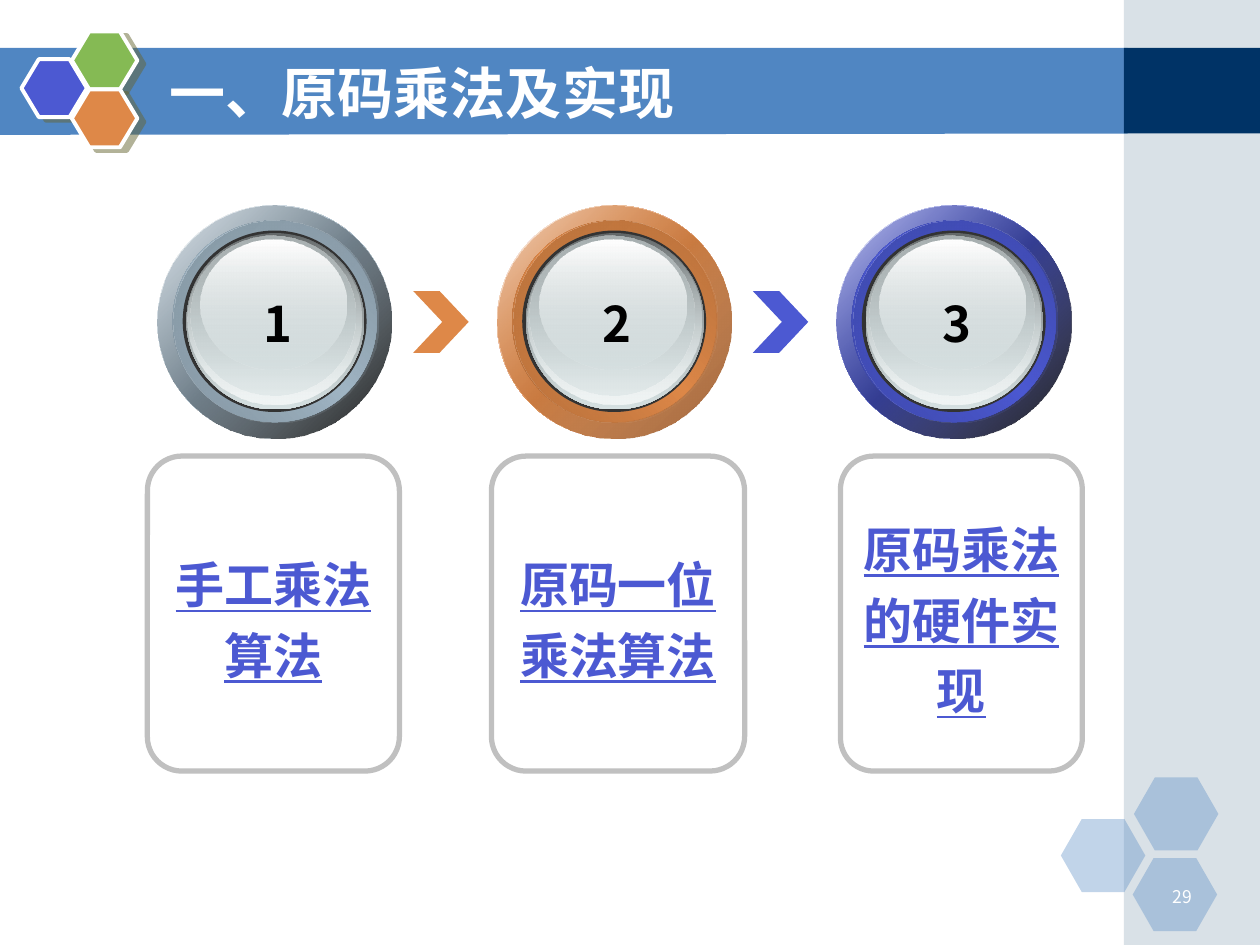
from lxml.etree import SubElement
from pptx import Presentation
from pptx.dml.color import RGBColor
from pptx.enum.shapes import MSO_SHAPE
from pptx.enum.text import MSO_ANCHOR, PP_ALIGN
from pptx.oxml.ns import qn
from pptx.util import Inches, Pt

FONT = "Noto Sans CJK SC"
BLUE, INDIGO, ORANGE, GREEN, STEEL = "5086C2", "4C59D2", "DE8848", "85BA54", "A0B5C4"
COLUMN_LEFT, COLUMN_PITCH = 1.25, 2.695
BUTTON_TOP = 1.63

BUTTONS = [
    (STEEL, ("000000", 90), "7B8B96", "8395A1"),
    (ORANGE, ("9F6134", 100), "AA6837", "B6703B"),
    (INDIGO, ("000000", 90), "3A44A1", "3E49AC"),
]
GLASS = [
    (0.23, 0.22, 1.41, 1.4, ("636869", 100), ("D6E1E2", 100)),
    (0.24, 0.22, 1.38, 1.36, ("D6E1E2", 0), ("F1F5F5", 100)),
    (0.26, 0.24, 1.31, 1.27, ("AAB2B3", 100), ("D6E1E2", 48)),
    (0.34, 0.27, 1.16, 1.03, ("FFFFFF", 100), ("D6E1E2", 38)),
]
CARDS = [(1.17, 2, "手工乘法算法"), (3.9, 2.01, "原码一位乘法算法"), (6.67, 1.92, "原码乘法的硬件实现")]


def rgb(value):
    """Turn a hex string into a colour."""
    return RGBColor.from_string(value)


def add_color(parent, value, alpha):
    """Append a colour with an opacity in percent to an XML element."""
    color = SubElement(parent, qn("a:srgbClr"), val=value)
    SubElement(color, qn("a:alpha"), val=str(alpha * 1000))


def column(i):
    """Return the left edge of a button column."""
    return COLUMN_LEFT + COLUMN_PITCH * i


def add_shape(slide, kind, x, y, w, h, fill=None, alpha=100, line=None, adj=None):
    """Add a preset shape with a plain fill and an optional (colour, width) line."""
    s = slide.shapes.add_shape(kind, Inches(x), Inches(y), Inches(w), Inches(h))
    s.shadow.inherit = False
    if adj is not None:
        s.adjustments[0] = adj
    if fill:
        s.fill.solid()
        s.fill.fore_color.rgb = rgb(fill)
        color = s.fill._xPr.find(qn("a:solidFill"))[0]
        if alpha < 100:
            SubElement(color, qn("a:alpha"), val=str(alpha * 1000))
    else:
        s.fill.background()
    if line:
        s.line.color.rgb = rgb(line[0])
        s.line.width = Pt(line[1])
    else:
        s.line.fill.background()
    return s


def add_disc(slide, x, y, w, h, angle, *colors):
    """Add an ellipse with evenly spaced (colour, opacity) gradient stops."""
    s = add_shape(slide, MSO_SHAPE.OVAL, x, y, w, h)
    s.fill.gradient()
    grad = s._element.spPr.find(qn("a:gradFill"))
    stops = grad.find(qn("a:gsLst"))
    for stop in list(stops):
        stops.remove(stop)
    for i, (value, alpha) in enumerate(colors):
        pos = 100000 * i // (len(colors) - 1)
        add_color(SubElement(stops, qn("a:gs"), pos=str(pos)), value, alpha)
    grad.find(qn("a:lin")).set("ang", str(angle * 60000))


def write(s, text, size, color, font=FONT, bold=True, align=PP_ALIGN.LEFT,
          anchor=MSO_ANCHOR.MIDDLE, wrap=True):
    """Put one formatted paragraph into a shape and return it."""
    tf = s.text_frame
    tf.text = text
    tf.word_wrap = wrap
    tf.vertical_anchor = anchor
    p = tf.paragraphs[0]
    p.alignment = align
    r = p.runs[0]
    r.font.name, r.font.size, r.font.bold = font, Pt(size), bold
    r.font.color.rgb = rgb(color)
    SubElement(r.font._element, qn("a:ea"), typeface=FONT)
    return p


def add_text(slide, x, y, w, h, text, size, color, **style):
    """Add a text box holding one paragraph."""
    box = slide.shapes.add_textbox(Inches(x), Inches(y), Inches(w), Inches(h))
    write(box, text, size, color, **style)


def add_banner(slide):
    """Add the title band and the side strip."""
    builder = slide.shapes.build_freeform(0, Inches(0.38))
    corners = [(8.95, 0.38), (8.95, 1.06), (0, 1.07)]
    builder.add_line_segments([(Inches(x), Inches(y)) for x, y in corners])
    band = builder.convert_to_shape()
    band.shadow.inherit = False
    band.fill.solid()
    band.fill.fore_color.rgb = rgb(BLUE)
    band.line.fill.background()
    add_shape(slide, MSO_SHAPE.RECTANGLE, 8.92, 0, 1.08, 7.5, STEEL, 40)
    add_shape(slide, MSO_SHAPE.RECTANGLE, 8.92, 0.38, 1.08, 0.68, "003366")


def add_hexagons(slide):
    """Add the pale corner hexagons and the coloured ones beside the title."""
    for x, y in [(8.42, 6.5), (9, 6.17), (8.99, 6.81)]:
        add_shape(slide, MSO_SHAPE.HEXAGON, x, y, 0.67, 0.58, BLUE, 35, adj=0.286)
    for x, y, color in [(0.17, 0.47, INDIGO), (0.57, 0.25, GREEN), (0.57, 0.71, ORANGE)]:
        s = add_shape(slide, MSO_SHAPE.HEXAGON, x, y, 0.52, 0.46, color,
                      line=("FFFFFF", 2.25), adj=0.3)
        effects = s._element.spPr.find(qn("a:effectLst"))
        shadow = SubElement(effects, qn("a:outerShdw"), blurRad="0",
                            dist=str(Pt(4.5)), dir=str(27 * 60000), algn="ctr")
        add_color(shadow, "666633", 50)


def add_card(slide, x, w, text):
    """Add a rounded card with underlined text."""
    s = add_shape(slide, MSO_SHAPE.ROUNDED_RECTANGLE, x, 3.62, w, 2.5,
                  line=("C0C0C0", 3), adj=0.137)
    p = write(s, text, 28, INDIGO, font="Arial", align=PP_ALIGN.CENTER)
    p.line_spacing = 1.2
    p.runs[0].font.underline = True


def add_button(slide, i, color, shade, rim, inner):
    """Add a numbered glass button in its column."""
    x, y = column(i), BUTTON_TOP
    base, edge, white = (color, 100), (rim, 100), ("FFFFFF", 100)
    add_disc(slide, x, y, 1.86, 1.85, 45, white, base, white)
    add_disc(slide, x, y, 1.86, 1.85, 45, (color, 32), shade)
    add_disc(slide, x + 0.12, y + 0.12, 1.62, 1.6, 315, edge, base, edge)
    add_disc(slide, x + 0.13, y + 0.12, 1.62, 1.6, 45, (inner, 100), (color, 0))
    add_shape(slide, MSO_SHAPE.OVAL, x + 0.2, y + 0.2, 1.46, 1.44, "333333")
    for dx, dy, w, h, start, end in GLASS:
        add_disc(slide, x + dx, y + dy, w, h, 90, start, end)
    add_text(slide, x + 0.74, y + 0.65, 0.4, 0.57, str(i + 1), 28, "000000",
             align=PP_ALIGN.CENTER, anchor=MSO_ANCHOR.TOP, wrap=False)


def main():
    """Build the slide and save it."""
    prs = Presentation()
    prs.slide_width, prs.slide_height = Inches(10), Inches(7.5)
    slide = prs.slides.add_slide(prs.slide_layouts[6])
    add_banner(slide)
    add_hexagons(slide)
    add_text(slide, 9.06, 6.98, 0.5, 0.25, "29", 10, "FFFFFF", bold=False,
             align=PP_ALIGN.RIGHT, anchor=MSO_ANCHOR.TOP)
    add_text(slide, 1.25, 0.42, 7.33, 0.62, "一、原码乘法及实现", 32, "FFFFFF")
    for card in CARDS:
        add_card(slide, *card)
    for i, color in enumerate([ORANGE, INDIGO]):
        add_shape(slide, MSO_SHAPE.CHEVRON, column(i) + 2.03, 2.31, 0.44, 0.49,
                  color, adj=0.525)
    for i, button in enumerate(BUTTONS):
        add_button(slide, i, *button)
    prs.save("out.pptx")


if __name__ == "__main__":
    main()
